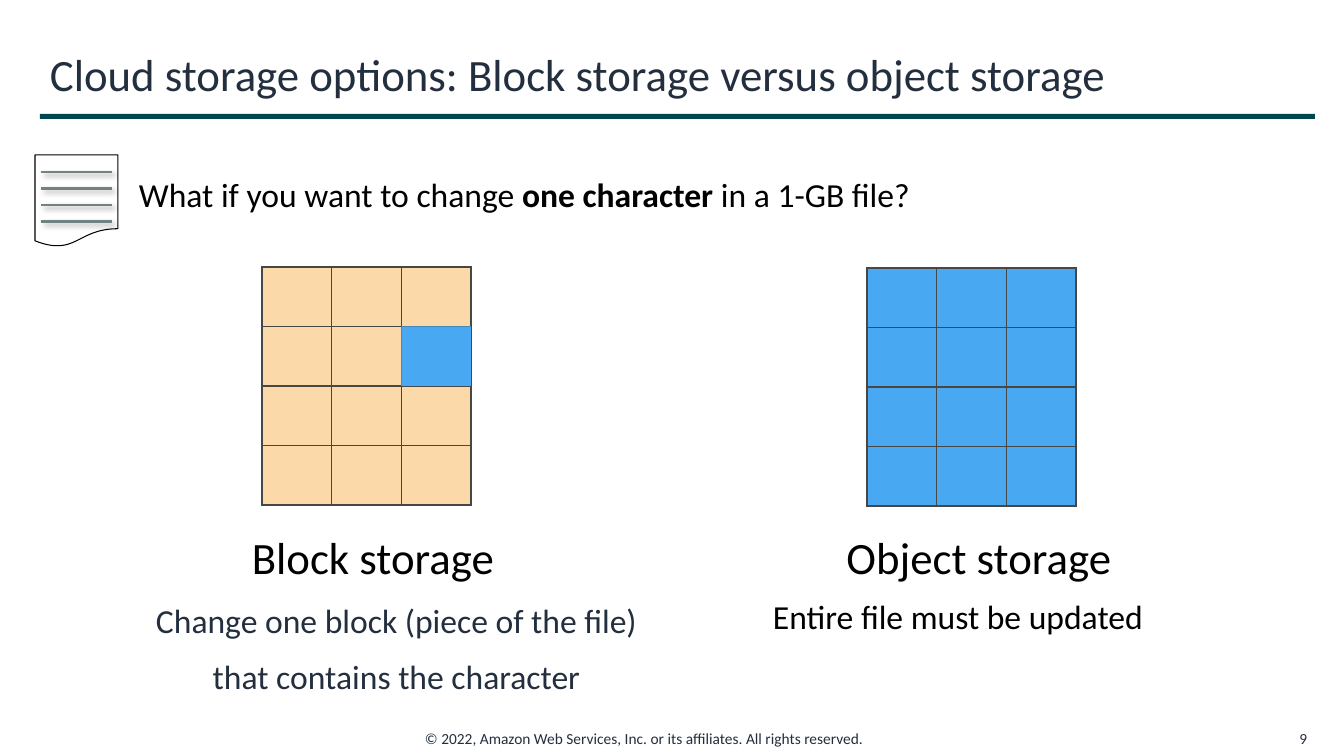
from lxml import etree
from pptx import Presentation
from pptx.dml.color import RGBColor
from pptx.enum.shapes import MSO_CONNECTOR, MSO_SHAPE
from pptx.enum.text import MSO_ANCHOR as ANCHOR, PP_ALIGN as ALIGN
from pptx.oxml import parse_xml
from pptx.oxml.ns import nsdecls, qn
from pptx.util import Pt

# Content: a paragraph is a list of (text, bold) runs
TITLE = [[("Cloud storage options: Block storage versus object storage", False)]]
QUESTION = [[("What if you want to change ", False), ("one character", True),
             (" in a 1-GB file?", False)]]
BLOCK_NAME = [[("Block storage", False)]]
BLOCK_NOTE = [[("Change one block (piece of the file)", False)],
              [("that contains the character", False)]]
OBJECT_NAME = [[("Object storage", False)]]
OBJECT_NOTE = [[("Entire file must be updated", False)]]
COPYRIGHT = [[("© 2022, Amazon Web Services, Inc. or its affiliates. "
               "All rights reserved.", False)]]
PAGE = [[("9", False)]]

COLORS = {"ink": "232F3E", "black": "000000", "white": "FFFFFF", "rule": "00464F",
          "note": "708282", "border": "474746", "same": "FCD9A9", "changed": "49A8F2"}
FONT = "Calibri"

# Layout in px
PX = 914400 / 100.8
ROWS, COLS = 4, 3
GRID_W, GRID_H = 209, 238
CELL_W, CELL_H = GRID_W / COLS, GRID_H / ROWS
BLOCK_GRID = (262, 267)
OBJECT_GRID = (867, 268)
CHANGED_ROW, CHANGED_COL = 1, 2
NOTE_LINES, NOTE_TOP, NOTE_STEP = 4, 172, 16.5


def emu(*lengths):
    return [round(n * PX) for n in lengths]


def rgb(name):
    return RGBColor.from_string(COLORS[name])


def add_text(s, box, paragraphs, size=24, color="black", align=ALIGN.LEFT,
             anchor=ANCHOR.TOP, wrap=True, inset=None, before=0, after=0, spacing=None):
    tf = s.shapes.add_textbox(*emu(*box)).text_frame
    tf.word_wrap = wrap
    tf.vertical_anchor = anchor
    if inset:
        x, y = emu(*inset)
        tf.margin_left = tf.margin_right = x
        tf.margin_top = tf.margin_bottom = y
    for i, runs in enumerate(paragraphs):
        p = tf.add_paragraph() if i else tf.paragraphs[0]
        p.alignment = align
        p.space_before = Pt(before if i else 0)
        p.space_after = Pt(after)
        if spacing:
            p.line_spacing = spacing
        for text, bold in runs:
            r = p.add_run()
            r.text = text
            r.font.name, r.font.size, r.font.bold = FONT, Pt(size), bold
            r.font.color.rgb = rgb(color)


def add_box(s, kind, box, fill, line=None):
    sp = s.shapes.add_shape(kind, *emu(*box))
    sp.shadow.inherit = False
    sp.fill.solid()
    sp.fill.fore_color.rgb = rgb(fill)
    if line:
        sp.line.color.rgb = rgb(line)
        sp.line.width = Pt(0.75)
    else:
        sp.line.fill.background()


def add_note_line(s, x1, x2, y):
    c = s.shapes.add_connector(MSO_CONNECTOR.STRAIGHT, *emu(x1, y, x2, y))
    c.line.color.rgb = rgb("note")
    c.line.width = Pt(1.5)
    effects = etree.SubElement(c._element.spPr, qn("a:effectLst"))
    effects.append(parse_xml(
        f'<a:outerShdw {nsdecls("a")} blurRad="{Pt(4)}" dist="{Pt(3)}" dir="2700000">'
        f'<a:srgbClr val="{COLORS["black"]}"><a:alpha val="40000"/></a:srgbClr>'
        '</a:outerShdw>'))


def add_grid(s, origin, fill):
    table = s.shapes.add_table(ROWS, COLS, *emu(*origin, GRID_W, GRID_H)).table
    table.first_row = table.horz_banding = False
    for col in table.columns:
        col.width = emu(CELL_W)[0]
    for row in table.rows:
        row.height = emu(CELL_H)[0]
    for cell in table.iter_cells():
        cell.fill.solid()
        cell.fill.fore_color.rgb = rgb(fill)
        tc_pr = cell._tc.get_or_add_tcPr()
        for i, side in enumerate("LRTB"):
            tc_pr.insert(i, parse_xml(
                f'<a:ln{side} {nsdecls("a")} w="{Pt(1)}"><a:solidFill>'
                f'<a:srgbClr val="{COLORS["border"]}"/></a:solidFill></a:ln{side}>'))


def main():
    prs = Presentation()
    prs.slide_width, prs.slide_height = emu(1344, 756)
    s = prs.slides.add_slide(prs.slide_layouts[6])

    # Footer and title
    add_text(s, (415, 724, 513, 29), COPYRIGHT, size=11, color="ink", wrap=False)
    add_box(s, MSO_SHAPE.RECTANGLE, (40, 114, 1275, 5), "rule")
    add_text(s, (1264, 724, 53, 29), PAGE, size=11, color="ink", align=ALIGN.RIGHT,
             anchor=ANCHOR.MIDDLE)
    add_text(s, (40, 33, 1275, 81), TITLE, size=32, color="ink", anchor=ANCHOR.MIDDLE)

    # Question with its document icon
    add_box(s, MSO_SHAPE.FLOWCHART_DOCUMENT, (35, 155, 83, 92), "white", line="black")
    for i in range(NOTE_LINES):
        add_note_line(s, 41, 112, NOTE_TOP + i * NOTE_STEP)
    add_text(s, (129, 169, 1015, 50), QUESTION)

    # Block storage
    heading = dict(size=32, align=ALIGN.CENTER, inset=(13, 7))
    add_grid(s, BLOCK_GRID, "same")
    add_text(s, (155, 523, 436, 69), BLOCK_NAME, **heading)
    add_text(s, (40, 595, 713, 109), BLOCK_NOTE, color="ink", align=ALIGN.CENTER,
             before=5, after=6)
    left, top = BLOCK_GRID
    add_box(s, MSO_SHAPE.RECTANGLE,
            (left + CHANGED_COL * CELL_W, top + CHANGED_ROW * CELL_H, CELL_W, CELL_H),
            "changed")

    # Object storage
    add_grid(s, OBJECT_GRID, "changed")
    add_text(s, (803, 523, 352, 51), OBJECT_NAME, **heading)
    add_text(s, (720, 595, 476, 41), OBJECT_NOTE, align=ALIGN.CENTER, spacing=0.9)

    prs.save("out.pptx")


if __name__ == "__main__":
    main()
